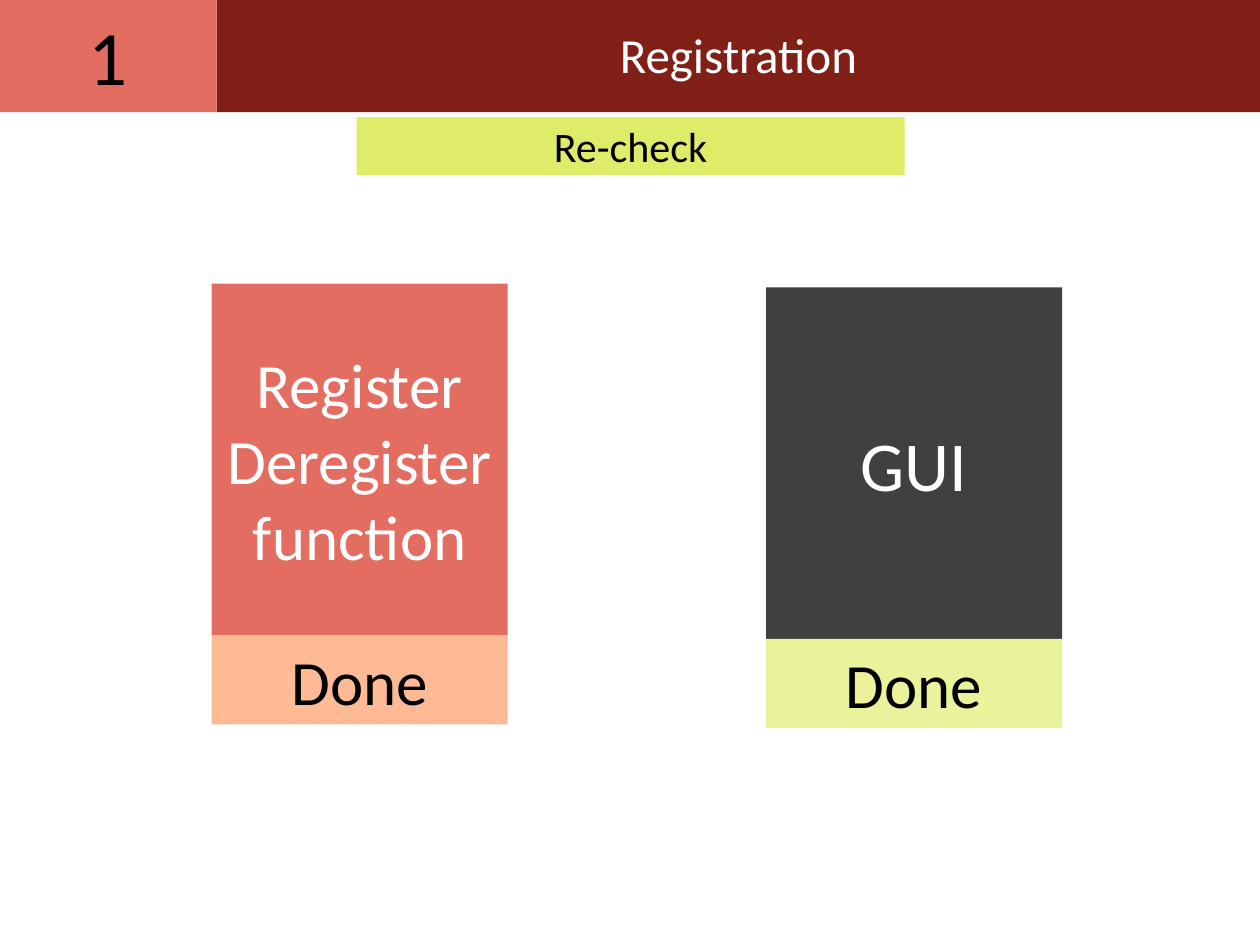
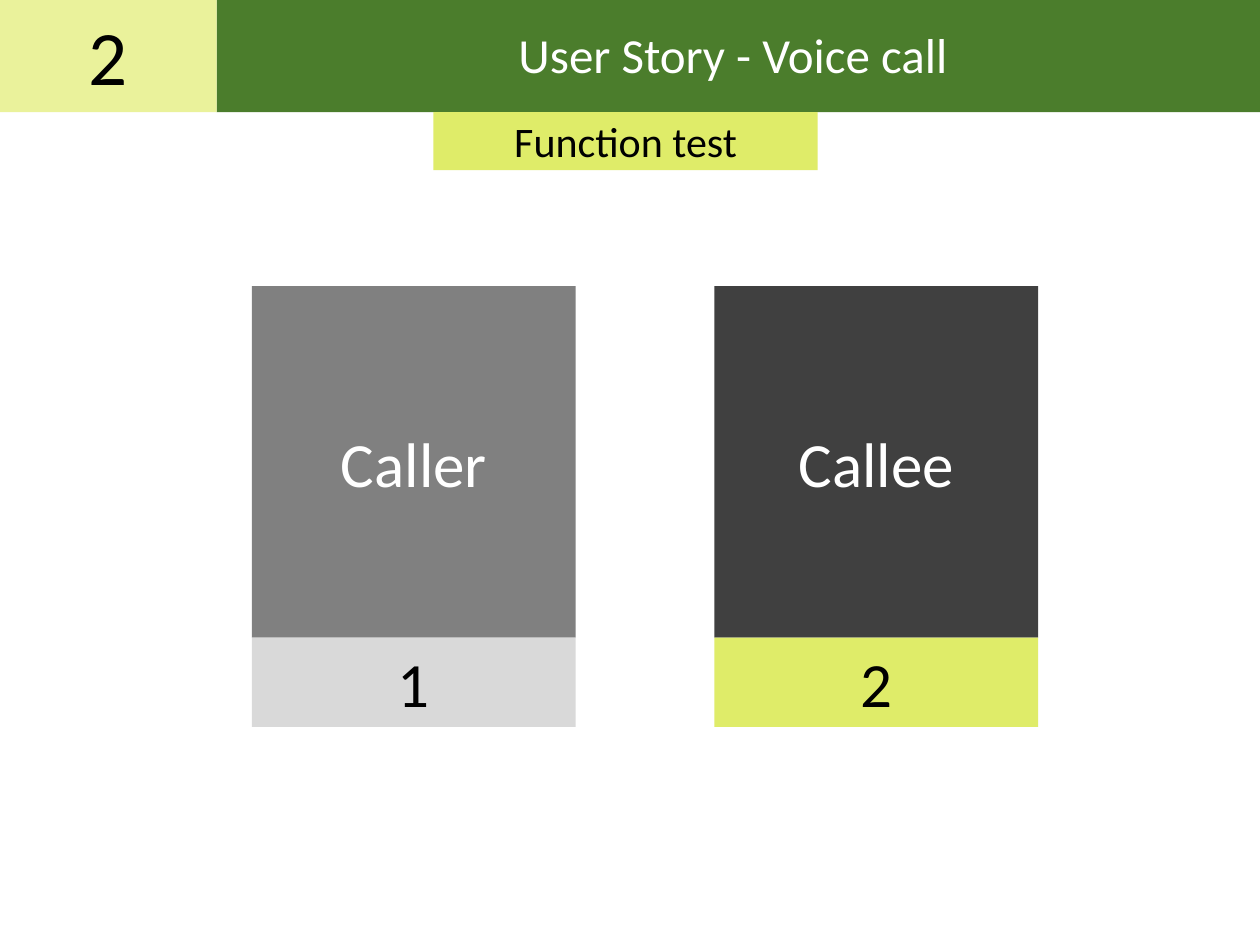
import pptx
import pptx.dml.color
import pptx.enum.shapes
import pptx.enum.text
import pptx.util

Inches = pptx.util.Inches

COLORS = {
    "white": "FFFFFF",
    "black": "000000",
    "dark": "404040",
    "gray": "808080",
    "silver": "D9D9D9",
    "maroon": "802017",
    "coral": "E36D61",
    "peach": "FDBA95",
    "green": "4B7D2C",
    "lime": "DFEC69",
    "pale_lime": "EAF29B",
}


class Deck:
    """Holds the shared style and the slide being built."""

    font = "Calibri"
    header_top, header_height, number_width = -0.03, 0.92, 1.72
    tag_height = 0.46
    body_height, footer_height = 2.79, 0.71

    def __init__(self):
        self.prs = pptx.Presentation()
        self.prs.slide_width = Inches(10)
        self.prs.slide_height = Inches(7.5)
        self.slide = None

    def color(self, name):
        return pptx.dml.color.RGBColor.from_string(COLORS[name])

    def new_slide(self):
        self.slide = self.prs.slides.add_slide(self.prs.slide_layouts[6])

    def box(self, shapes, left, top, width, height, fill, lines, size, color="black"):
        sp = shapes.add_shape(
            pptx.enum.shapes.MSO_SHAPE.RECTANGLE,
            Inches(left), Inches(top), Inches(width), Inches(height))
        sp.shadow.inherit = False
        sp.fill.solid()
        sp.fill.fore_color.rgb = self.color(fill)
        sp.line.fill.background()
        tf = sp.text_frame
        tf.word_wrap = True
        tf.vertical_anchor = pptx.enum.text.MSO_ANCHOR.MIDDLE
        tf.text = lines
        for p in tf.paragraphs:
            p.alignment = pptx.enum.text.PP_ALIGN.CENTER
            p.font.name = self.font
            p.font.size = pptx.util.Pt(size)
            p.font.color.rgb = self.color(color)

    def header(self, number, title, number_fill, title_fill):
        shapes = self.slide.shapes.add_group_shape().shapes
        self.box(shapes, self.number_width, self.header_top, 10 - self.number_width,
                 self.header_height, title_fill, title, 28, "white")
        self.box(shapes, 0, self.header_top, self.number_width,
                 self.header_height, number_fill, number, 44)

    def tag(self, left, top, width, text):
        self.box(self.slide.shapes, left, top, width, self.tag_height, "lime", text, 24)

    def card(self, left, top, width, body, body_fill, footer, footer_fill, size=36):
        shapes = self.slide.shapes.add_group_shape().shapes
        self.box(shapes, left, top, width, self.body_height,
                 body_fill, body, size, "white")
        self.box(shapes, left, top + self.body_height, width, self.footer_height,
                 footer_fill, footer, 36)


def main():
    deck = Deck()

    # Registration
    deck.new_slide()
    deck.card(6.08, 2.28, 2.35, "GUI", "dark", "Done", "pale_lime", size=40)
    deck.header("1", "Registration", "coral", "maroon")
    deck.tag(2.83, 0.93, 4.35, "Re-check")
    deck.card(1.68, 2.25, 2.35, "Register\nDeregister function", "coral", "Done", "peach")

    # Voice call
    deck.new_slide()
    deck.header("2", "User Story - Voice call ", "pale_lime", "green")
    deck.tag(3.44, 0.89, 3.05, "Function test")
    deck.card(2, 2.27, 2.57, "Caller", "gray", "1", "silver")
    deck.card(5.67, 2.27, 2.57, "Callee", "dark", "2", "lime")

    deck.prs.save("out.pptx")


if __name__ == "__main__":
    main()
